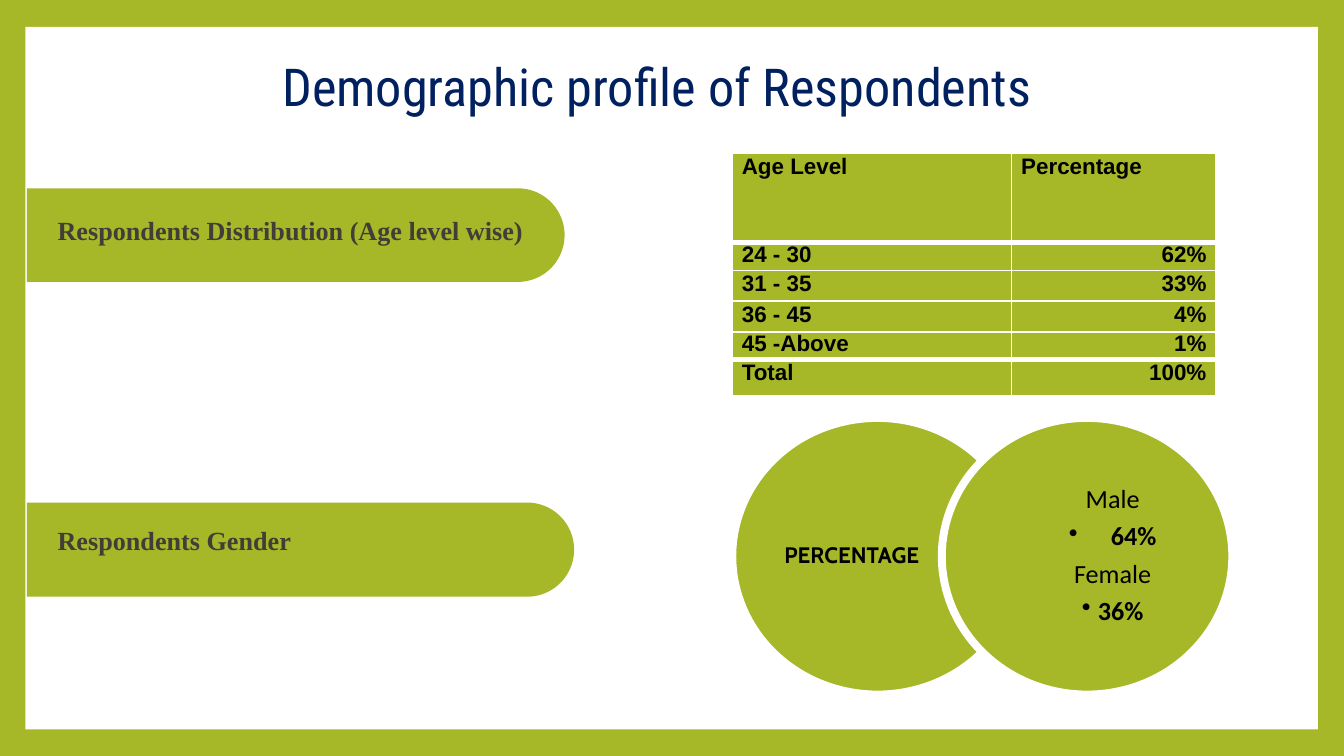
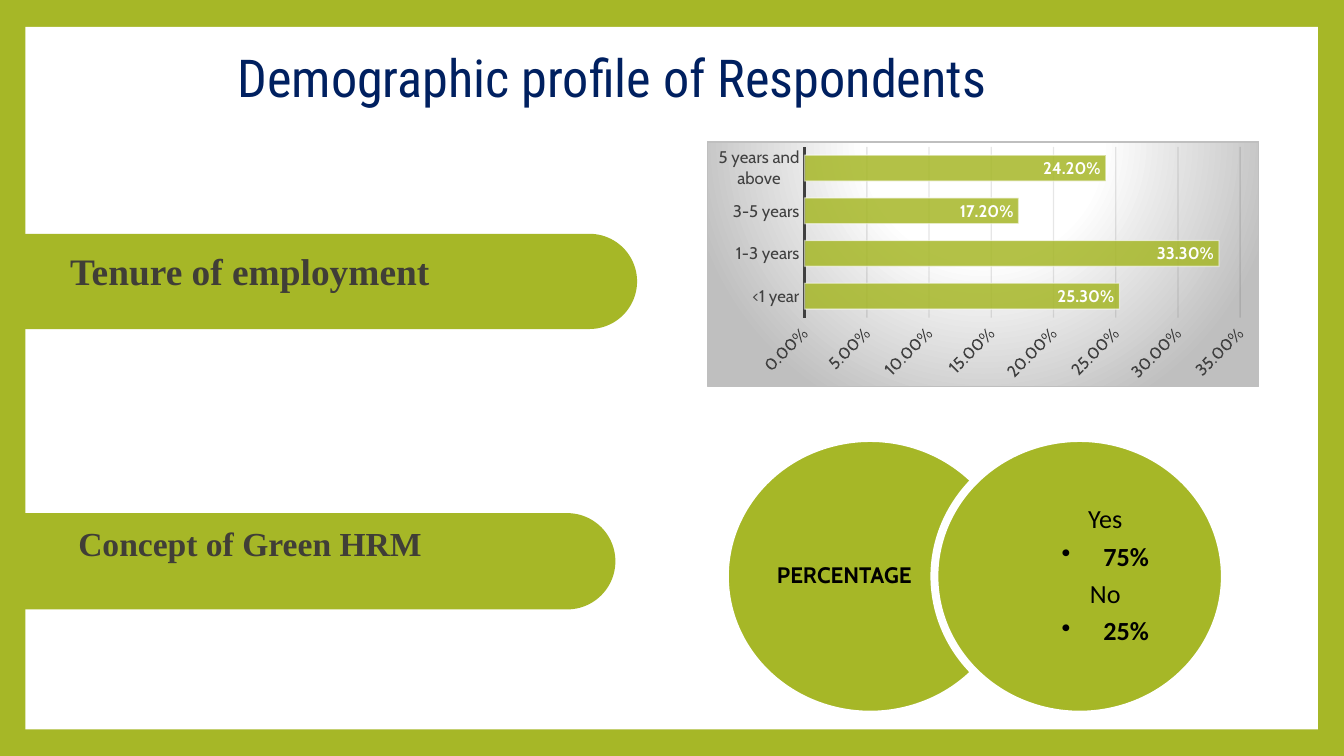
from dataclasses import dataclass

from lxml import etree
from pptx import Presentation
from pptx.chart.data import CategoryChartData
from pptx.dml.color import RGBColor
from pptx.enum.chart import XL_CHART_TYPE, XL_LABEL_POSITION, XL_TICK_MARK
from pptx.enum.shapes import MSO_SHAPE
from pptx.enum.text import MSO_ANCHOR, PP_ALIGN
from pptx.oxml import parse_xml
from pptx.oxml.ns import nsdecls, qn
from pptx.util import Cm, Pt

RECT, OVAL, TAB = MSO_SHAPE.RECTANGLE, MSO_SHAPE.OVAL, MSO_SHAPE.ROUND_2_SAME_RECTANGLE
LEFT, MID, RIGHT = PP_ALIGN.LEFT, PP_ALIGN.CENTER, PP_ALIGN.RIGHT
CENTRE = MSO_ANCHOR.MIDDLE
BAR, INNER, NONE = XL_CHART_TYPE.BAR_CLUSTERED, XL_LABEL_POSITION.INSIDE_END, XL_TICK_MARK.NONE


@dataclass(frozen=True)
class Theme:
    green: str = "A6B727"
    white: str = "FFFFFF"
    black: str = "000000"
    navy: str = "002060"
    brown: str = "403E37"
    dark: str = "404040"
    grid: str = "0D0D0D"
    grey: str = "BFBFBF"
    head: str = "Roboto Condensed"
    serif: str = "Times New Roman"
    sans: str = "Arial"
    body: str = "Calibri"
    label: str = "Cabin"
    title: int = 28
    item: int = 14
    cell: int = 12
    small: int = 9


T = Theme()
TITLE = "Demographic profile of Respondents "

AGES = [
    ("Age Level", "Percentage"),
    ("24 - 30", "62%"),
    ("31 - 35", "33%"),
    ("36 - 45", "4%"),
    ("45 -Above", "1%"),
    ("Total", "100%"),
]
COLS = (5.28, 3.86)
ROWS = (1.68, 0.53, 0.58, 0.58, 0.53, 0.69)

TENURE = [
    ("<1 year", 0.253),
    ("1-3 years", 0.333),
    ("3-5 years", 0.172),
    ("5 years and above", 0.242),
]

PAGES = [
    {
        "title": (5.03, 0.91, 14.76),
        "bands": [
            ((0.51, 3.56, 10.16, 1.77), "Respondents Distribution (Age level wise)",
             14, (0.71, 3.96), LEFT),
            ((0.51, 9.5, 10.34, 1.78), "Respondents Gender", 14, (0.71, 9.82), LEFT),
        ],
        "rings": (13.84, 7.9),
        "split": [("Male", 0), ("64%", 0.79), ("Female", 0), ("36%", 0.3)],
    },
    {
        "title": (4.17, 0.74, 15.01),
        "bands": [
            ((0.38, 4.42, 11.66, 1.8), "Tenure of employment", 20, (-0.05, 4.6), MID),
            ((0.37, 9.7, 11.26, 1.82), "Concept of Green HRM", 18, (1.1, 9.78), LEFT),
        ],
        "rings": (13.7, 8.28),
        "split": [("Yes", 0), ("75%", 0.79), ("No", 0), ("25%", 0.79)],
    },
]


def rgb(code):
    return RGBColor.from_string(code)


def style(font, face, size, color, bold=False):
    font.name, font.size, font.bold = face, Pt(size), bold
    font.color.rgb = rgb(color)


def write(para, text, *look):
    run = para.add_run()
    run.text = text
    style(run.font, *look)


def paint(part, color):
    part.fill.solid()
    part.fill.fore_color.rgb = rgb(color)


def inset(part, left, top, right, low):
    part.margin_left, part.margin_top = Cm(left), Cm(top)
    part.margin_right, part.margin_bottom = Cm(right), Cm(low)


def shape(slide, kind, box, color, edge=0):
    item = slide.shapes.add_shape(kind, *map(Cm, box))
    item.shadow.inherit = False
    paint(item, color)
    if edge:
        item.line.color.rgb = rgb(T.white)
        item.line.width = Pt(edge)
    else:
        item.line.fill.background()
    return item


def note(slide, box, text, align, *look):
    frame = slide.shapes.add_textbox(*map(Cm, box)).text_frame
    frame.word_wrap = True
    para = frame.paragraphs[0]
    para.alignment = align
    write(para, text, *look)
    return frame


def band(slide, box, text, size, spot, align):
    left, top, wide, high = box
    turn = (left + (wide - high) / 2, top + (high - wide) / 2, high, wide)
    tab = shape(slide, TAB, turn, T.green)
    tab.adjustments[0] = 0.5
    tab.rotation = 90
    frame = note(slide, (*spot, 9.55, 0.8), text, align, T.serif, size, T.brown, True)
    inset(frame, 0.38 if align == LEFT else 0.18, 0.1, 0.18, 0.1)


def bullet(para, gap):
    props = para._p.get_or_add_pPr()
    props.set("marL", str(Cm(gap)))
    props.set("indent", str(-Cm(gap)))
    color = etree.SubElement(props, qn("a:buClr"))
    etree.SubElement(color, qn("a:srgbClr")).set("val", T.black)
    etree.SubElement(props, qn("a:buChar")).set("char", "•")


def rings(slide, spot, split):
    left, top = spot
    wide, high, step = 5.49, 5.23, 3.96
    near, far = 0.13, 1.1
    parts = [([("PERCENTAGE", 0)], near, far), (split, far, near)]
    for i, (lines, before, after) in enumerate(parts):
        ring = shape(slide, OVAL, (left + i * step, top, wide, high), T.green, 4.25)
        frame = ring.text_frame
        frame.word_wrap = True
        frame.vertical_anchor = CENTRE
        inset(frame, before, 0, after, 0)
        for j, (text, gap) in enumerate(lines):
            para = frame.add_paragraph() if j else frame.paragraphs[0]
            para.alignment = MID
            para.line_spacing = 0.9
            size = T.item if i else T.cell
            last = j == 3
            para.space_after = Pt(size * (0.15 if last else 0.35))
            if last:
                para.level = 1
            if gap:
                bullet(para, gap)
            face = T.body if i else T.label
            write(para, text, face, size, T.black, not i or gap > 0)


def rule(props, side, width):
    line = etree.SubElement(props, qn("a:ln" + side), w=str(Pt(width)))
    fill = etree.SubElement(line, qn("a:solidFill"))
    etree.SubElement(fill, qn("a:srgbClr")).set("val", T.white)


def ages(slide):
    box = (13.84, 2.9, sum(COLS), sum(ROWS))
    table = slide.shapes.add_table(len(ROWS), len(COLS), *map(Cm, box)).table
    for col, wide in zip(table.columns, COLS):
        col.width = Cm(wide)
    end = len(ROWS) - 1
    for r, (row, texts) in enumerate(zip(table.rows, AGES)):
        row.height = Cm(ROWS[r])
        for c, text in enumerate(texts):
            cell = table.cell(r, c)
            inset(cell, 0.18, 0, 0.18, 0)
            para = cell.text_frame.paragraphs[0]
            para.alignment = RIGHT if c and r else LEFT
            para.line_spacing = Pt(13.1 if r in (1, 4) else 13.8)
            write(para, text, T.sans, T.cell, T.black, True)
            props = cell._tc.get_or_add_tcPr()
            rule(props, "L", 1)
            rule(props, "R", 1)
            rule(props, "T", 3 if r in (1, end) else 1)
            rule(props, "B", 3 if r in (0, end - 1) else 1)
            paint(cell, T.green)


def fade(node, way, share):
    color = node.xpath(way + "/a:solidFill/a:srgbClr")[0]
    etree.SubElement(color, qn("a:alpha")).set("val", str(share * 1000))


def glow(chart):
    stops = "".join(
        f'<a:gs pos="{at * 1000}"><a:srgbClr val="{color}"/></a:gs>'
        for at, color in [(0, T.white), (39, T.white), (100, T.grey)]
    )
    back = parse_xml(
        f'<c:spPr {nsdecls("c", "a")}><a:gradFill><a:gsLst>{stops}</a:gsLst>'
        '<a:path path="circle"><a:fillToRect l="50000" t="-80000" r="50000" b="180000"/>'
        f'</a:path></a:gradFill><a:ln w="{Pt(0.75)}"><a:solidFill>'
        f'<a:srgbClr val="{T.grey}"/></a:solidFill></a:ln></c:spPr>'
    )
    chart.element.find(qn("c:chart")).addnext(back)


def tenure(slide):
    data = CategoryChartData(number_format="0.00%")
    data.categories = [name for name, _ in TENURE]
    data.add_series("Series 1", [value for _, value in TENURE])
    box = (13.36, 2.67, 10.44, 4.65)
    chart = slide.shapes.add_chart(BAR, *map(Cm, box), data).chart
    style(chart.font, T.label, 10, T.black)
    chart.has_legend = chart.has_title = False
    glow(chart)

    cat, val = chart.category_axis, chart.value_axis
    for axis in (cat, val):
        axis.major_tick_mark = axis.minor_tick_mark = NONE
        style(axis.tick_labels.font, T.label, T.small, T.dark)
    cat.format.line.color.rgb = rgb(T.dark)
    cat.format.line.width = Pt(1.5)
    val.format.line.fill.background()
    val.minimum_scale, val.maximum_scale, val.major_unit = 0, 0.35, 0.05
    val.tick_labels.number_format = "0.00%"
    val.tick_labels.number_format_is_linked = False
    val._element.xpath("c:txPr/a:bodyPr")[0].set("rot", str(-45 * 60000))
    val.has_major_gridlines = True
    grid = val.major_gridlines.format.line
    grid.color.rgb, grid.width = rgb(T.grid), Pt(0.75)
    fade(val._element, "c:majorGridlines/c:spPr/a:ln", 10)

    plot = chart.plots[0]
    plot.gap_width = 65
    plot.vary_by_categories = False
    bars = plot.series[0]
    bars.invert_if_negative = False
    paint(bars.format, T.green)
    bars.format.line.color.rgb = rgb(T.white)
    bars.format.line.width = Pt(0.75)
    fade(bars._element, "c:spPr", 85)
    fade(bars._element, "c:spPr/a:ln", 50)
    tags = bars.data_labels
    tags.show_value, tags.position = True, INNER
    tags.number_format, tags.number_format_is_linked = "0.00%", False
    style(tags.font, T.label, T.small, T.white, True)


def main():
    deck = Presentation()
    deck.slide_width, deck.slide_height = Cm(25.4), Cm(14.29)
    paint(deck.slide_master.background, T.green)
    for page, draw in zip(PAGES, (ages, tenure)):
        slide = deck.slides.add_slide(deck.slide_layouts[6])
        shape(slide, RECT, (0.48, 0.51, 24.43, 13.28), T.white)
        for item in page["bands"]:
            band(slide, *item)
        note(slide, (*page["title"], 1.45), TITLE, MID, T.head, T.title, T.navy)
        draw(slide)
        rings(slide, page["rings"], page["split"])
    deck.save("out.pptx")


if __name__ == "__main__":
    main()
